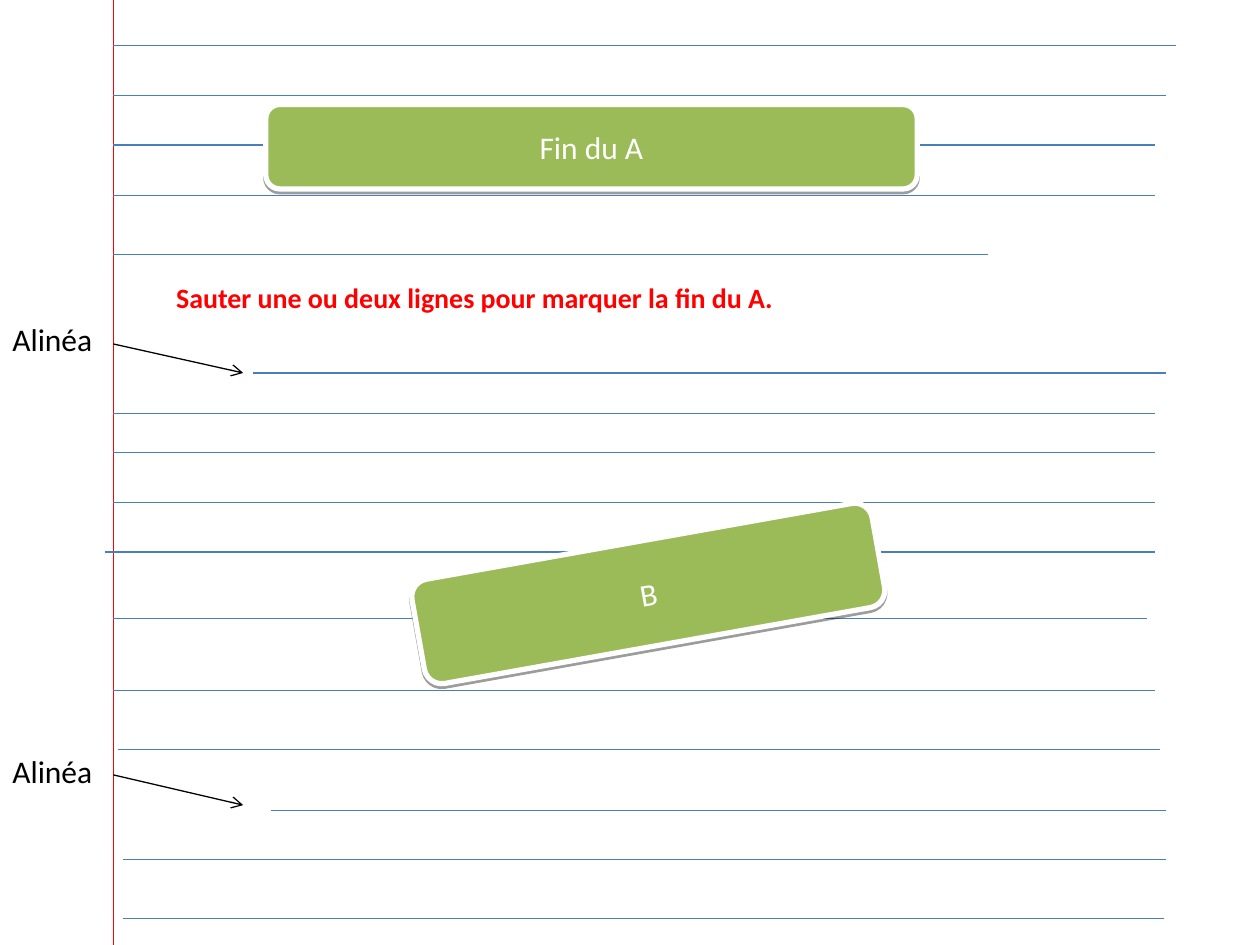
"""Build a ruled notebook page that shows where to skip lines and indent."""
from typing import NamedTuple

from lxml import etree
from pptx import Presentation
from pptx import util as u
from pptx.dml.color import RGBColor
from pptx.enum import shapes, text
from pptx.oxml import parse_xml
from pptx.oxml.ns import nsdecls, qn

COLS, ROWS = 100, 75
CELL = u.Inches(0.1)
EDGE = 9
INK = {
    "rule": "4A7EBB",
    "edge": "FF0000",
    "note": "FF0000",
    "label": "9BBB59",
    "white": "FFFFFF",
    "black": "000000",
}


class Rule(NamedTuple):
    row: float
    end: float = 91.7
    start: float = EDGE


class Box(NamedTuple):
    col: float
    row: float
    wide: float
    high: float


class Label(NamedTuple):
    words: str
    box: Box
    turn: float = 0


class Indent(NamedTuple):
    box: Box
    row: float
    drop: float


RULES = [
    Rule(3.6, 93.3), Rule(7.6, 92.5), Rule(11.5), Rule(15.5), Rule(20.2, 78.4),
    Rule(29.6, 92.5, 20.1), Rule(32.8), Rule(35.9), Rule(39.9),
    Rule(43.8, start=8.3), Rule(49.1, 91), Rule(54.8), Rule(59.5, 92.1, 9.4),
    Rule(64.3, 92.5, 21.5), Rule(68.2, 92.5, 9.8), Rule(72.9, 92.4, 9.8),
]
LABELS = [
    Label("Fin du A", Box(21.1, 8.3, 51.7, 6.7)),
    Label("B", Box(32.9, 42.9, 37.1, 8.4), 349.9),
]
INDENTS = [
    Indent(Box(0, 24.9, 11, 4), 27.3, 2.3),
    Indent(Box(0, 59.2, 11, 4), 61.5, 2.4),
]
NOTE = Box(13, 21.8, 82.7, 3.7)


def span(*cells: float) -> list[int]:
    return [round(n * CELL) for n in cells]


def tint(name: str) -> RGBColor:
    return RGBColor.from_string(INK[name])


def write(shape, words: str, size: int = 18, ink: str = "black",
          bold: bool = False, align=text.PP_ALIGN.LEFT,
          anchor=text.MSO_ANCHOR.TOP) -> None:
    frame = shape.text_frame
    frame.word_wrap = True
    frame.vertical_anchor = anchor
    para = frame.paragraphs[0]
    para.alignment = align
    run = para.add_run()
    run.text = words
    run.font.name = "Calibri"
    run.font.size = u.Pt(size)
    run.font.bold = bold
    run.font.color.rgb = tint(ink)


def stroke(slide, start: tuple, end: tuple, ink: str, arrow: bool = False) -> None:
    link = slide.shapes.add_connector(
        shapes.MSO_CONNECTOR.STRAIGHT, *span(*start, *end))
    link.line.color.rgb = tint(ink)
    link.line.width = u.Pt(0.75)
    if arrow:
        etree.SubElement(link.line._get_or_add_ln(), qn("a:tailEnd"), type="arrow")
    etree.SubElement(link._element.spPr, qn("a:effectLst"))


def shade(shape) -> None:
    shape._element.spPr.append(parse_xml(
        f'<a:effectLst {nsdecls("a")}>'
        '<a:outerShdw blurRad="0" dist="20000" dir="5400000" rotWithShape="0">'
        f'<a:srgbClr val="{INK["black"]}"><a:alpha val="38000"/></a:srgbClr>'
        '</a:outerShdw></a:effectLst>'))


def draw_label(slide, label: Label) -> None:
    shape = slide.shapes.add_shape(
        shapes.MSO_SHAPE.ROUNDED_RECTANGLE, *span(*label.box))
    shape.rotation = label.turn
    shape.fill.solid()
    shape.fill.fore_color.rgb = tint("label")
    shape.line.color.rgb = tint("white")
    shape.line.width = u.Pt(3)
    shade(shape)
    write(shape, label.words, ink="white", align=text.PP_ALIGN.CENTER,
          anchor=text.MSO_ANCHOR.MIDDLE)


def draw_text(slide, box: Box, words: str, **style) -> None:
    write(slide.shapes.add_textbox(*span(*box)), words, **style)


def draw_indent(slide, mark: Indent) -> None:
    stroke(slide, (EDGE, mark.row), (19.3, mark.row + mark.drop), "black", arrow=True)
    draw_text(slide, mark.box, "Alinéa")


def main() -> None:
    deck = Presentation()
    deck.slide_width, deck.slide_height = span(COLS, ROWS)
    slide = deck.slides.add_slide(deck.slide_layouts[6])
    stroke(slide, (EDGE, 0), (EDGE, ROWS), "edge")
    for rule in RULES:
        stroke(slide, (rule.start, rule.row), (rule.end, rule.row), "rule")
    for label in LABELS:
        draw_label(slide, label)
    for mark in INDENTS:
        draw_indent(slide, mark)
    draw_text(slide, NOTE, "Sauter une ou deux lignes pour marquer la fin du A.",
              size=16, ink="note", bold=True)
    deck.save("out.pptx")


if __name__ == "__main__":
    main()
